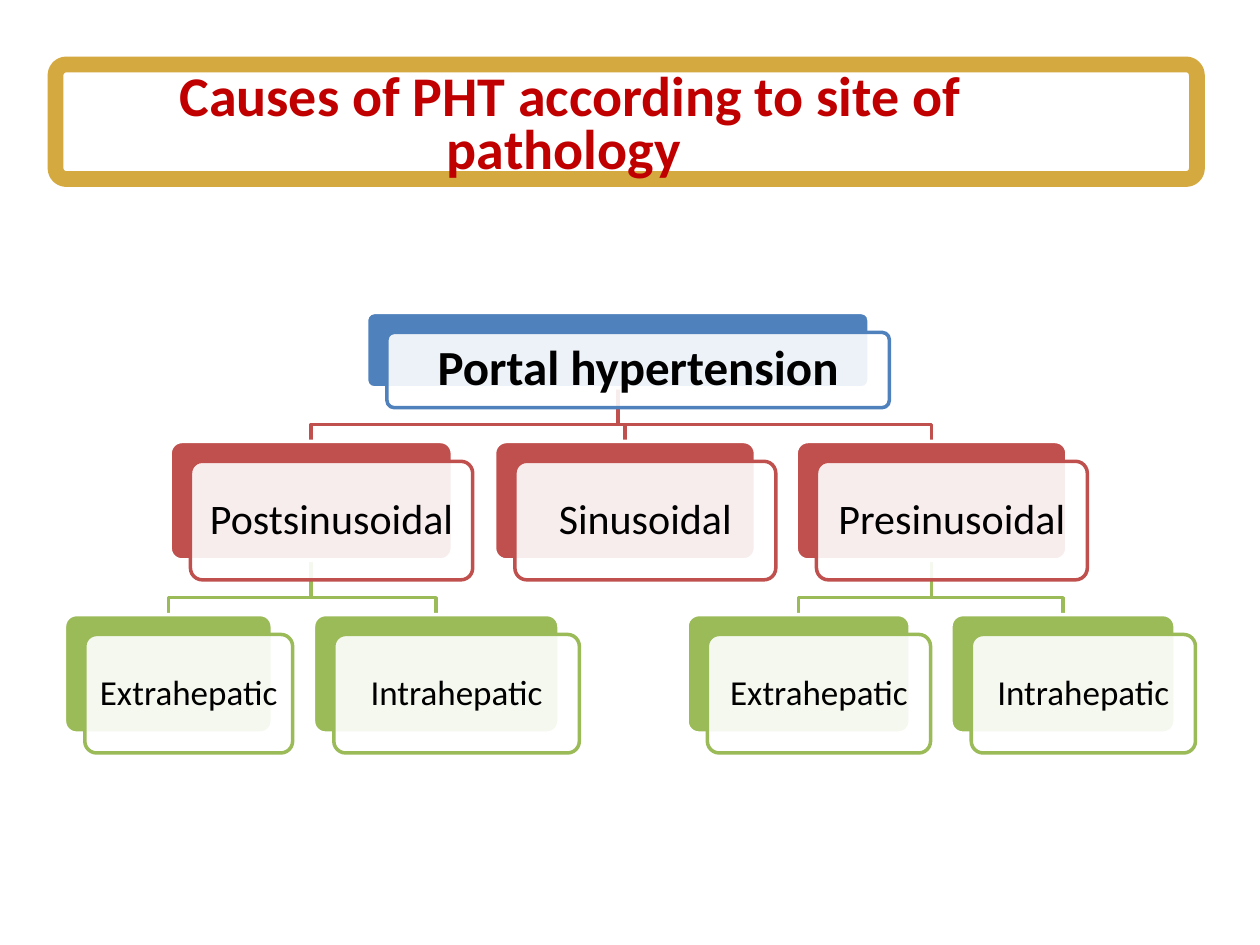
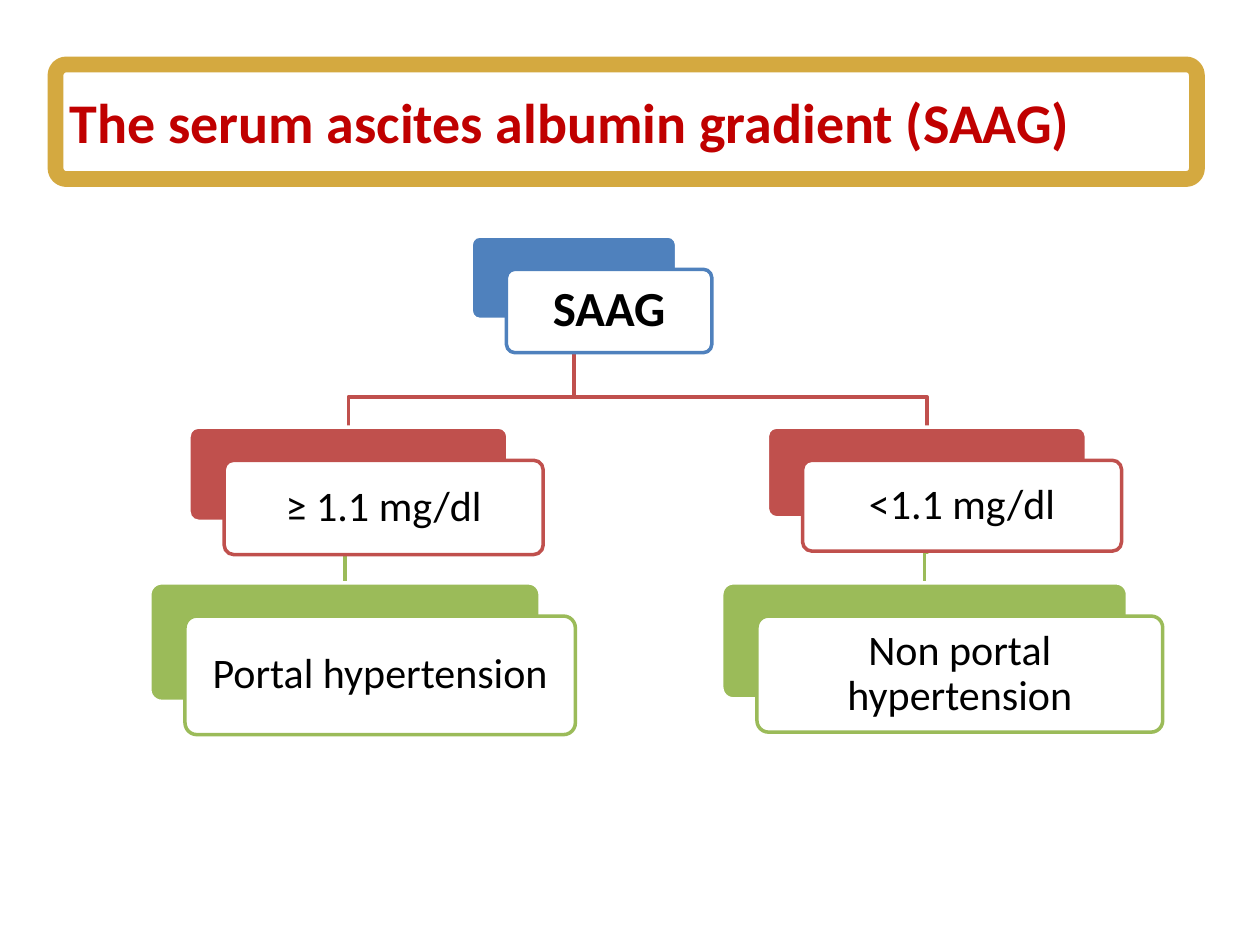
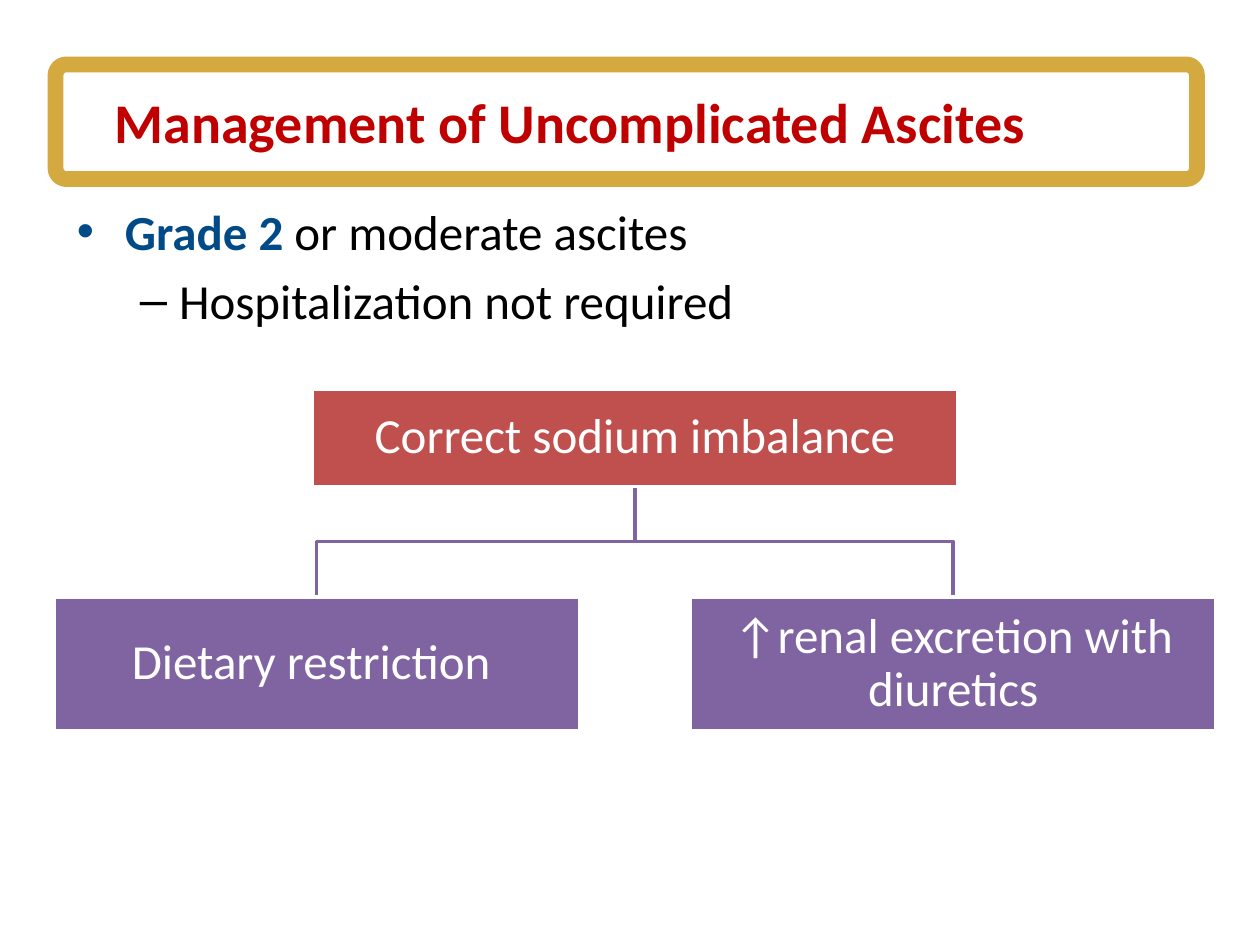
from dataclasses import dataclass, field

from lxml import etree
from pptx import Presentation
from pptx import util as u
from pptx.dml.color import RGBColor
from pptx.enum import shapes, text
from pptx.oxml import ns

COLORS = {
    "white": "FFFFFF", "black": "000000", "gold": "D4A940", "title": "C00000",
    "grade": "004B87", "blue": "4F81BD", "red": "C0504D", "green": "9BBB59",
    "purple": "8064A2",
}
FONT = "Calibri"
RECT = shapes.MSO_SHAPE.RECTANGLE
ROUNDED = shapes.MSO_SHAPE.ROUNDED_RECTANGLE


def rgb(name):
    return RGBColor.from_string(COLORS[name])


@dataclass
class Level:
    """What the boxes in one row of a tree share; top is in centimetres."""
    top: float
    color: str
    size: int
    bold: bool = False


@dataclass
class Node:
    text: str
    left: float
    width: float
    height: float
    children: list = field(default_factory=list)

    @property
    def center(self):
        return self.left + self.width / 2


class Deck:
    def __init__(self):
        self.presentation = Presentation()
        self.presentation.slide_width = u.Cm(25.4)
        self.presentation.slide_height = u.Cm(19.05)
        self.slide = None

    def new_slide(self, title, title_top=1.68, line_spacing=1.0):
        self.slide = self.presentation.slides.add_slide(self.presentation.slide_layouts[6])
        band = self.box(ROUNDED, (1.12, 1.3, 23.01, 2.31), "white", "gold", 9)
        band.adjustments[0] = 0.094
        frame = self.text_box((1.12, title_top, 20.75, 1.52))
        frame.vertical_anchor = text.MSO_ANCHOR.MIDDLE
        frame.text = title
        paragraph = frame.paragraphs[0]
        paragraph.alignment = text.PP_ALIGN.CENTER
        paragraph.line_spacing = line_spacing
        self.format_run(paragraph.runs[0], 32, "title", True)

    def format_run(self, run, size, color, bold=False):
        run.font.name = FONT
        run.font.size = u.Pt(size)
        run.font.bold = bold
        run.font.color.rgb = rgb(color)

    def text_box(self, place):
        frame = self.slide.shapes.add_textbox(*map(u.Cm, place)).text_frame
        frame.word_wrap = True
        return frame

    def box(self, kind, place, fill, line, line_width=2, opacity=100):
        shape = self.slide.shapes.add_shape(kind, *map(u.Cm, place))
        shape.shadow.inherit = False
        shape.fill.solid()
        shape.fill.fore_color.rgb = rgb(fill)
        if opacity < 100:
            color = shape.fill._xPr.find(ns.qn("a:solidFill"))[0]
            etree.SubElement(color, ns.qn("a:alpha"), val=str(opacity * 1000))
        shape.line.color.rgb = rgb(line)
        shape.line.width = u.Pt(line_width)
        if kind == ROUNDED:
            shape.adjustments[0] = 0.1
        return shape

    def label(self, shape, words, level, color, inset):
        frame = shape.text_frame
        frame.word_wrap = True
        frame.vertical_anchor = text.MSO_ANCHOR.MIDDLE
        frame.margin_left = frame.margin_right = u.Cm(inset)
        frame.margin_top = frame.margin_bottom = u.Cm(inset)
        frame.text = words
        paragraph = frame.paragraphs[0]
        paragraph.alignment = text.PP_ALIGN.CENTER
        paragraph.line_spacing = 0.9
        self.format_run(paragraph.runs[0], level.size, color, level.bold)

    def elbow(self, points, color):
        start, *rest = [(u.Cm(x), u.Cm(y)) for x, y in points]
        builder = self.slide.shapes.build_freeform(*start)
        builder.add_line_segments(rest, close=False)
        shape = builder.convert_to_shape()
        shape.shadow.inherit = False
        shape.fill.background()
        shape.line.color.rgb = rgb(color)
        shape.line.width = u.Pt(2)

    def branches(self, node, levels, drop):
        """Link a node to its children; the crossbar runs `drop` above them."""
        if not node.children:
            return
        level, below = levels[:2]
        bar = below.top - drop
        for child in node.children:
            self.branches(child, levels[1:], drop)
            self.elbow([(node.center, level.top + node.height), (node.center, bar),
                        (child.center, bar), (child.center, below.top)], below.color)

    def boxes(self, node, levels, shift, opacity):
        level = levels[0]
        place = (node.left, level.top, node.width, node.height)
        if shift:
            self.box(ROUNDED, place, level.color, "white")
            front = (node.left + shift[0], level.top + shift[1], node.width, node.height)
            card = self.box(ROUNDED, front, "white", level.color, opacity=opacity)
            self.label(card, node.text, level, "black", level.size / 100)
        else:
            card = self.box(RECT, place, level.color, "white")
            self.label(card, node.text, level, "white", 0.05)
        for child in node.children:
            self.boxes(child, levels[1:], shift, opacity)

    def tree(self, root, levels, drop, shift=None, opacity=100):
        """Draw a tree; `shift` offsets a white front card from each box."""
        self.branches(root, levels, drop)
        self.boxes(root, levels, shift, opacity)

    def bullets(self, place, items):
        """Each item is (bullet, margin, hang, runs), a run being (words, color, bold)."""
        frame = self.text_box(place)
        for index, (bullet, margin, hang, runs) in enumerate(items):
            paragraph = frame.add_paragraph() if index else frame.paragraphs[0]
            paragraph.space_before = u.Pt(5.6)
            for words, color, bold in runs:
                run = paragraph.add_run()
                run.text = words
                self.format_run(run, 28, color, bold)
            properties = paragraph._p.get_or_add_pPr()
            properties.set("marL", str(u.Cm(margin)))
            properties.set("indent", str(-u.Cm(hang)))
            etree.SubElement(properties, ns.qn("a:buFont"), typeface="Arial")
            etree.SubElement(properties, ns.qn("a:buChar"), char=bullet)


def causes_slide(deck):
    deck.new_slide("Causes of PHT according to site of pathology ", 1.8, 0.8)
    levels = [Level(6.3, "blue", 28, True), Level(8.9, "red", 24), Level(12.39, "green", 20)]
    height = 2.39
    root = Node("Portal hypertension", 7.39, 10.13, 1.52, [
        Node("Postsinusoidal", 3.43, 5.69, height, [
            Node("Extrahepatic", 1.3, 4.19, height),
            Node("Intrahepatic", 6.32, 4.95, height)]),
        Node("Sinusoidal", 9.97, 5.26, height),
        Node("Presinusoidal", 16.05, 5.46, height, [
            Node("Extrahepatic", 13.85, 4.5, height),
            Node("Intrahepatic", 19.17, 4.52, height)]),
    ])
    deck.tree(root, levels, 0.34, (0.41, 0.4), opacity=90)


def gradient_slide(deck):
    deck.new_slide("The serum ascites albumin gradient (SAAG)")
    levels = [Level(4.76, "blue", 28, True), Level(8.61, "red", 24), Level(11.75, "green", 24)]
    root = Node("SAAG", 9.5, 4.14, 1.68, [
        Node("≥ 1.1 mg/dl", 3.81, 6.43, 1.9, [
            Node("Portal hypertension", 3.02, 7.87, 2.39)]),
        Node("<1.1 mg/dl", 15.47, 6.43, 1.83, [
            Node("Non portal hypertension", 14.55, 8.18, 2.34)]),
    ])
    deck.tree(root, levels, 0.61, (0.71, 0.67))


def management_slide(deck):
    deck.new_slide("Management of Uncomplicated Ascites")
    deck.bullets((1.3, 3.94, 22.86, 3.61), [
        ("•", 0.97, 0.97, [("Grade 2", "grade", True),
                           (" or moderate ascites", "black", False)]),
        ("–", 2.06, 0.79, [("Hospitalization not required", "black", False)]),
    ])
    levels = [Level(7.85, "red", 28), Level(12.04, "purple", 28)]
    root = Node("Correct sodium imbalance", 6.3, 13, 1.96, [
        Node("Dietary restriction ", 1.09, 10.59, 2.69),
        Node("↑renal excretion with diuretics", 13.92, 10.59, 2.69),
    ])
    deck.tree(root, levels, 1.12)


def main():
    deck = Deck()
    causes_slide(deck)
    gradient_slide(deck)
    management_slide(deck)
    deck.presentation.save("out.pptx")


if __name__ == "__main__":
    main()
